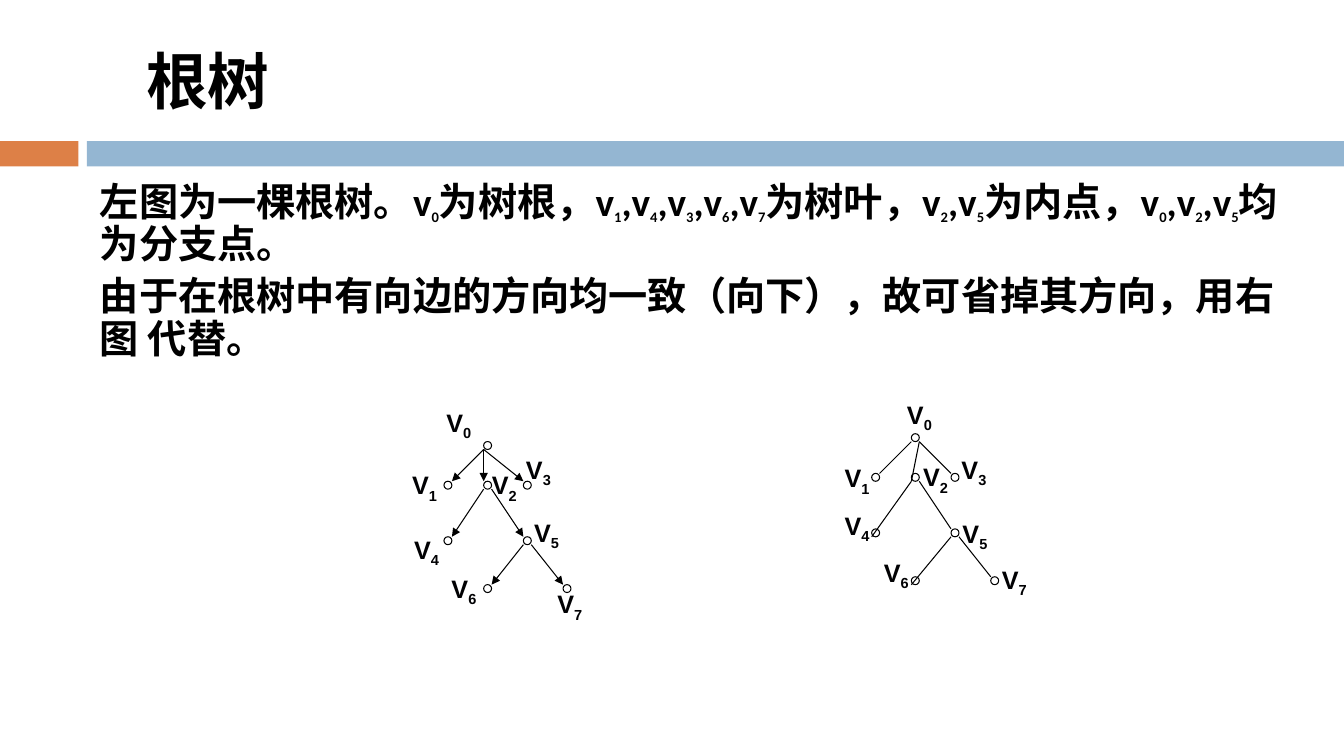
from dataclasses import dataclass

from lxml.etree import SubElement
from pptx import Presentation
from pptx.dml.color import RGBColor
from pptx.enum.shapes import MSO_CONNECTOR as Connector, MSO_SHAPE as Preset
from pptx.enum.text import MSO_ANCHOR as Anchor, MSO_AUTO_SIZE as AutoSize
from pptx.oxml.ns import qn
from pptx.shapes.group import GroupShape
from pptx.shapes.shapetree import SlideShapes
from pptx.text.text import TextFrame
from pptx.util import Pt

ORANGE = RGBColor(0xDD, 0x80, 0x47)
BLUE = RGBColor(0x94, 0xB6, 0xD2)
WHITE = RGBColor(0xFF, 0xFF, 0xFF)
BLACK = RGBColor(0x00, 0x00, 0x00)
LABEL_INK = RGBColor(0x01, 0x01, 0x03)
CJK_FONT = "Noto Sans CJK SC"
SUBSCRIPT_SIZE = 18

# Vertices v0 to v7: column and height below the root
NODE_SIZE = 5.67
COLUMN_STEP = 28.35
NODES = [(0, 0), (-1, 28.35), (0, 28.35), (1, 28.35),
         (-1, 68), (1, 68), (0, 102.2), (2, 102.2)]
LABEL_WIDTHS = [33, 38, 38, 38, 38, 33, 38, 33]

# Corners of a vertex's bounding square
TOP_LEFT, TOP_RIGHT, BOTTOM_LEFT, BOTTOM_RIGHT = (0, 0), (1, 0), (0, 1), (1, 1)
Corner = tuple[int, int]


@dataclass
class Band:
    left: float
    width: float
    color: RGBColor


@dataclass
class Edge:
    parent: int
    start: Corner
    child: int
    end: Corner


@dataclass
class Tree:
    left: float
    top: float
    directed: bool
    edges: list[Edge]
    labels: list[tuple[float, float]]

    def point(self, node: int, corner: Corner = TOP_LEFT) -> tuple[Pt, Pt]:
        column, drop = NODES[node]
        return (Pt(self.left + column * COLUMN_STEP + corner[0] * NODE_SIZE),
                Pt(self.top + drop + corner[1] * NODE_SIZE))


BANDS = [Band(0, 56, ORANGE), Band(62, 898, BLUE)]

SHARED_EDGES = [
    Edge(0, BOTTOM_LEFT, 1, TOP_RIGHT),
    Edge(2, BOTTOM_RIGHT, 5, TOP_LEFT),
    Edge(5, BOTTOM_RIGHT, 7, TOP_LEFT),
]
TREES = [
    Tree(345.5, 315.4, True, SHARED_EDGES + [
        Edge(0, BOTTOM_LEFT, 2, TOP_LEFT),
        Edge(0, BOTTOM_LEFT, 3, TOP_LEFT),
        Edge(2, BOTTOM_LEFT, 4, TOP_RIGHT),
        Edge(5, BOTTOM_LEFT, 6, TOP_RIGHT),
    ], [(311.8, 287.3), (287.3, 331.9), (344.2, 331.9), (368.6, 321.1),
        (288.7, 378), (374.4, 365.8), (315.4, 406.1), (391, 416.9)]),
    Tree(651, 309.8, False, SHARED_EDGES + [
        Edge(0, BOTTOM_RIGHT, 2, BOTTOM_LEFT),
        Edge(0, BOTTOM_RIGHT, 3, TOP_LEFT),
        Edge(2, BOTTOM_LEFT, 4, BOTTOM_LEFT),
        Edge(5, BOTTOM_LEFT, 6, BOTTOM_LEFT),
    ], [(640.8, 281.5), (596.2, 326.9), (652.3, 326.2), (679.7, 321.1),
        (596.2, 360.7), (680.4, 366.5), (624.2, 394.6), (708.5, 399.6)]),
]

# An underscore marks the next character as a subscript
BODY = [
    "左图为一棵根树。v_0为树根，v_1,v_4,v_3,v_6,v_7为树叶，"
    "v_2,v_5为内点，v_0,v_2,v_5均为分支点。",
    "由于在根树中有向边的方向均一致（向下），故可省掉其方向，用右图 代替。",
]


def write_paragraphs(frame: TextFrame, texts: list[str], size: float, font_name: str,
                     color: RGBColor) -> None:
    for index, text in enumerate(texts):
        para = frame.add_paragraph() if index else frame.paragraphs[0]
        font = para.font
        font.size, font.bold, font.name = Pt(size), True, font_name
        font.color.rgb = color
        SubElement(font._element, qn("a:ea"), typeface=CJK_FONT)
        first, *rest = text.split("_")
        para.add_run().text = first
        for part in rest:
            span = para.add_run()
            span.text = part[0]
            span.font.size = Pt(SUBSCRIPT_SIZE)
            span.font._element.set("baseline", "-25000")
            if part[1:]:
                para.add_run().text = part[1:]


def draw_band(shapes: SlideShapes, band: Band) -> None:
    bar = shapes.add_shape(Preset.RECTANGLE, Pt(band.left), Pt(100.8), Pt(band.width), Pt(18))
    bar.shadow.inherit = False
    bar.fill.solid()
    bar.fill.fore_color.rgb = band.color
    bar.line.fill.background()


def draw_node(group: GroupShape, tree: Tree, node: int) -> None:
    circle = group.shapes.add_shape(Preset.FLOWCHART_CONNECTOR, *tree.point(node),
                                    Pt(NODE_SIZE), Pt(NODE_SIZE))
    circle.shadow.inherit = False
    circle.fill.solid()
    circle.fill.fore_color.rgb = WHITE
    circle.line.color.rgb = BLACK
    circle.line.width = Pt(0.75)


def draw_edge(group: GroupShape, tree: Tree, edge: Edge) -> None:
    link = group.shapes.add_connector(Connector.STRAIGHT, *tree.point(edge.parent, edge.start),
                                      *tree.point(edge.child, edge.end))
    link.line.color.rgb = BLACK
    link.line.width = Pt(0.75)
    if tree.directed:
        SubElement(link.line._get_or_add_ln(), qn("a:tailEnd"), type="triangle")
    SubElement(link._element.spPr, qn("a:effectLst"))


def draw_label(group: GroupShape, tree: Tree, node: int) -> None:
    left, top = tree.labels[node]
    box = group.shapes.add_textbox(Pt(left), Pt(top), Pt(LABEL_WIDTHS[node]), Pt(28.8))
    box.text_frame.word_wrap = False
    box.text_frame.auto_size = AutoSize.SHAPE_TO_FIT_TEXT
    write_paragraphs(box.text_frame, [f"V_{node}"], 18, "Arial", LABEL_INK)


def draw_tree(shapes: SlideShapes, tree: Tree) -> None:
    group = shapes.add_group_shape()
    for node in range(len(NODES)):
        draw_node(group, tree, node)
    for edge in tree.edges:
        draw_edge(group, tree, edge)
    for node in range(len(NODES)):
        draw_label(group, tree, node)


def main() -> None:
    deck = Presentation()
    deck.slide_width, deck.slide_height = Pt(960), Pt(540)
    page = deck.slides.add_slide(deck.slide_layouts[6])

    # Divider under the title
    for band in BANDS:
        draw_band(page.shapes, band)

    # Title
    title = page.shapes.add_textbox(Pt(97.2), Pt(18), Pt(768), Pt(78)).text_frame
    title.word_wrap = True
    title.vertical_anchor = Anchor.MIDDLE
    write_paragraphs(title, ["根树"], 44, CJK_FONT, BLACK)

    # Explanation
    body = page.shapes.add_textbox(Pt(64.3), Pt(126), Pt(856), Pt(354)).text_frame
    body.word_wrap = True
    write_paragraphs(body, BODY, 28, "Calibri", BLACK)
    for para in body.paragraphs:
        para.line_spacing = 0.9
        para.space_before = Pt(7)

    # Directed tree on the left, plain tree on the right
    for tree in TREES:
        draw_tree(page.shapes, tree)

    deck.save("out.pptx")


if __name__ == "__main__":
    main()
